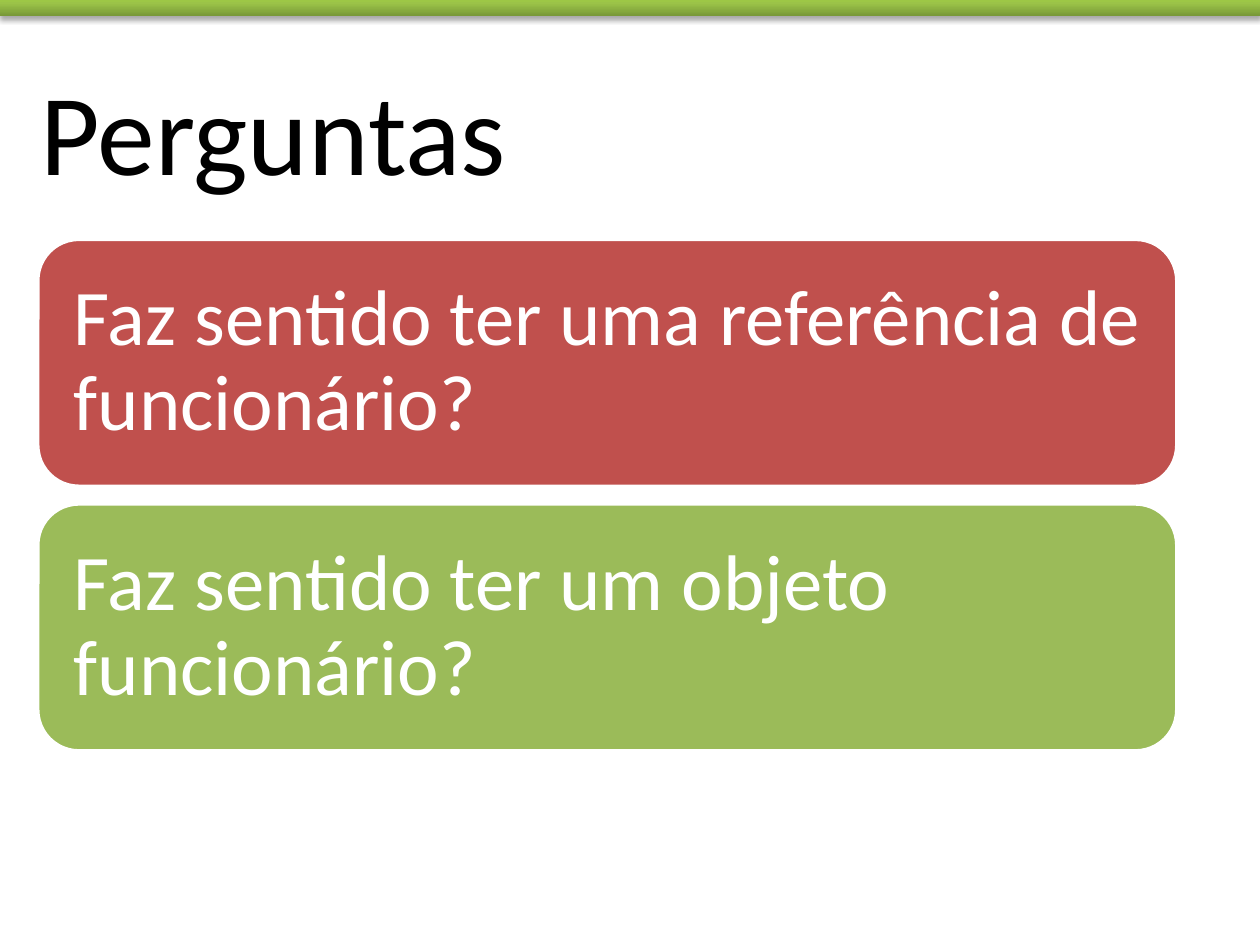
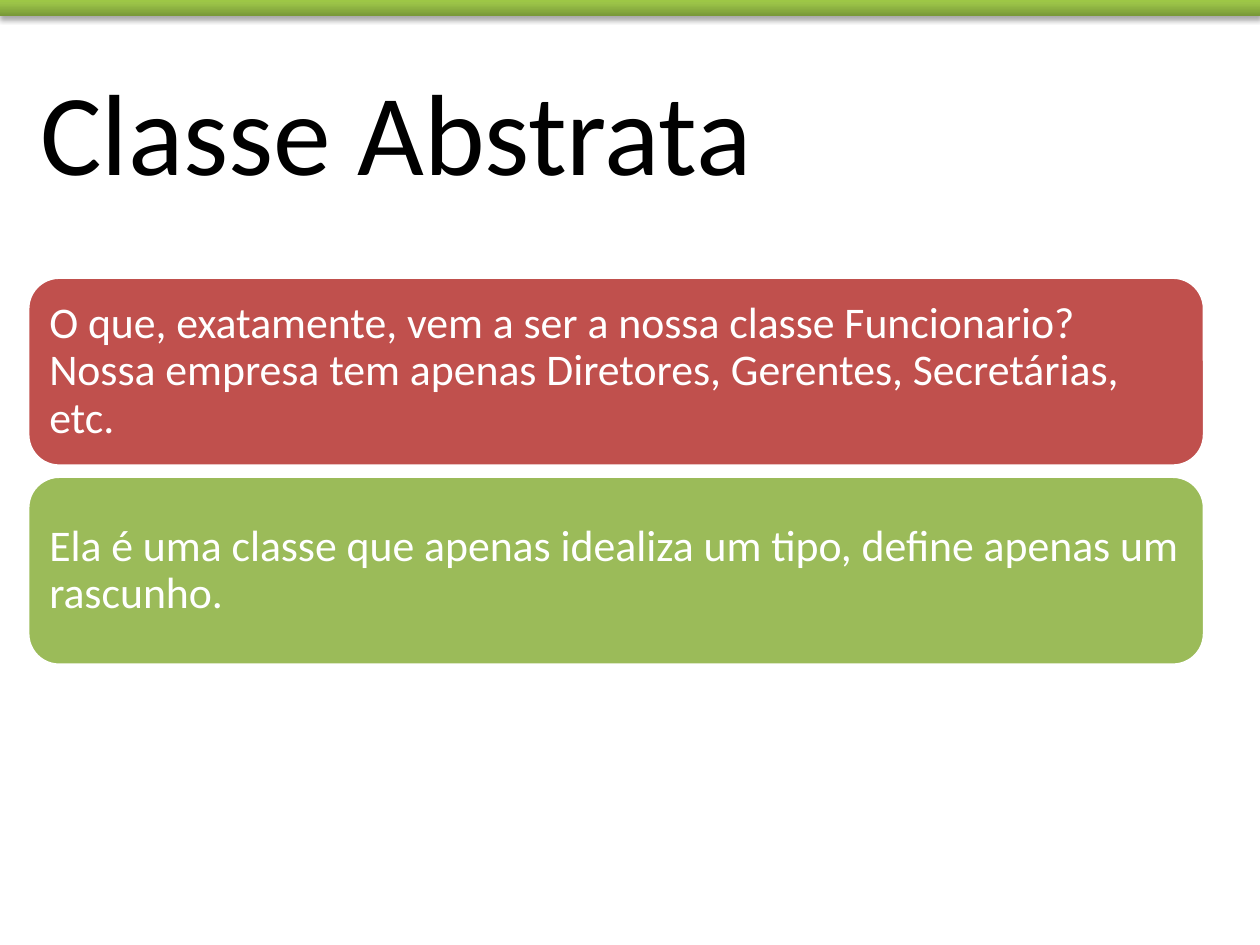
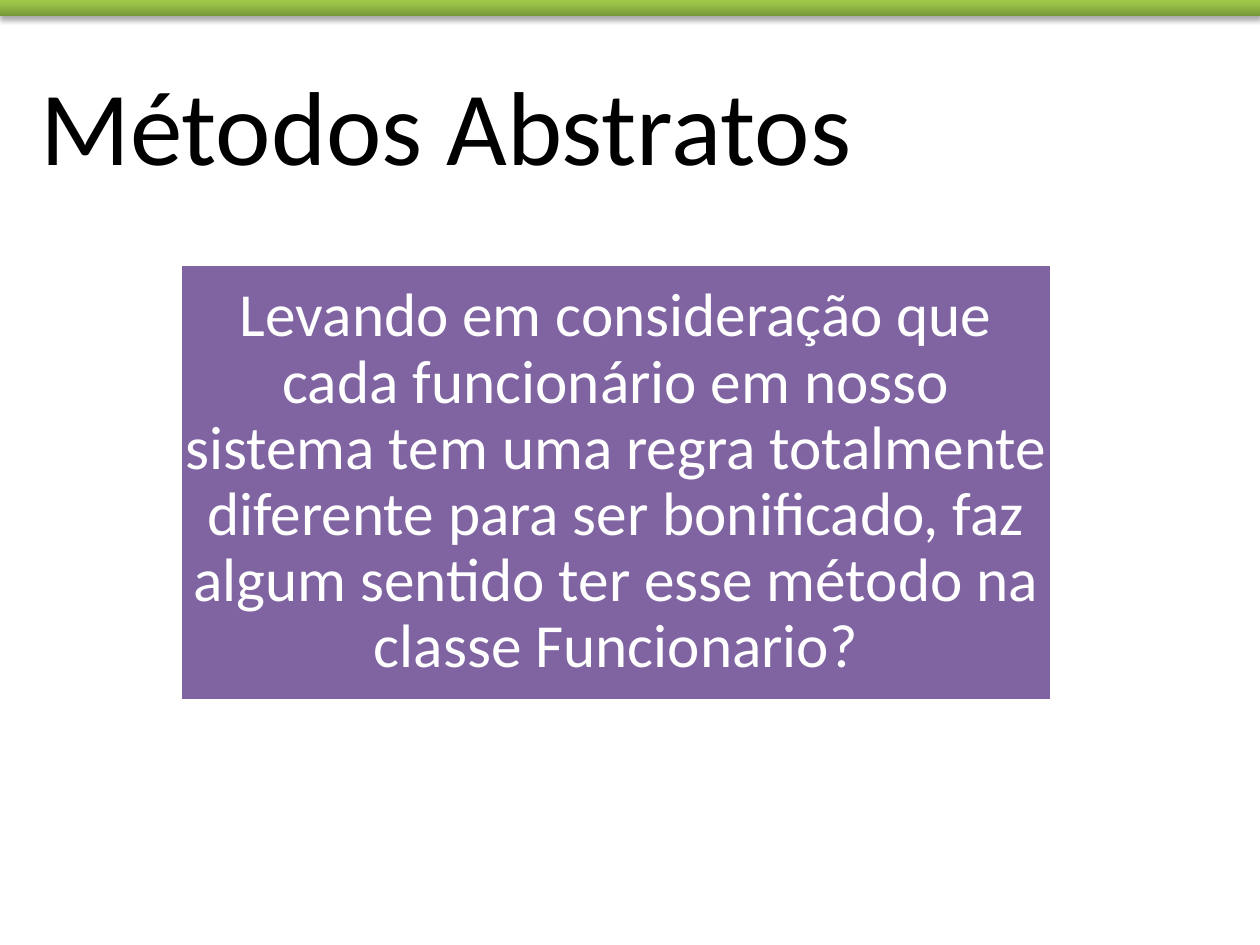
from pptx import Presentation
from pptx.dml.color import RGBColor
from pptx.enum.shapes import MSO_SHAPE
from pptx.enum.text import MSO_ANCHOR, MSO_AUTO_SIZE, PP_ALIGN
from pptx.oxml import parse_xml
from pptx.oxml.ns import nsdecls
from pptx.util import Inches, Pt

BLACK = RGBColor(0x00, 0x00, 0x00)
WHITE = RGBColor(0xFF, 0xFF, 0xFF)
RED = RGBColor(0xC0, 0x50, 0x4D)
GREEN = RGBColor(0x9B, 0xBB, 0x59)
PURPLE = RGBColor(0x80, 0x64, 0xA2)
BAND_DARK = RGBColor(0x77, 0x97, 0x37)
BAND_MIDDLE = RGBColor(0x9B, 0xC3, 0x48)
BAND_LIGHT = RGBColor(0x9D, 0xC7, 0x46)
BAND_STOPS = [(0, BAND_DARK), (80, BAND_MIDDLE), (100, BAND_LIGHT)]

FONT = "Calibri"
TITLE_ONLY = 5
SLIDE_WIDTH, SLIDE_HEIGHT = 10, 7.5


def set_all(target, values):
    for attribute, value in values.items():
        setattr(target, attribute, value)


def write(shape, text, size, color, frame_format, paragraph_format):
    frame = shape.text_frame
    frame.text = text
    set_all(frame, {"word_wrap": True, **frame_format})
    paragraph = frame.paragraphs[0]
    set_all(paragraph, paragraph_format)
    font = paragraph.runs[0].font
    set_all(font, {"name": FONT, "size": Pt(size)})
    font.color.rgb = color


def add_top_band(slide):
    band = slide.shapes.add_shape(
        MSO_SHAPE.RECTANGLE, 0, 0, Inches(SLIDE_WIDTH), Inches(0.13))
    band.line.fill.background()
    band.shadow.inherit = False
    properties = band._element.spPr
    stops = "".join(
        f'<a:gs pos="{percent * 1000}"><a:srgbClr val="{color}"/></a:gs>'
        for percent, color in BAND_STOPS)
    gradient = parse_xml(
        f'<a:gradFill {nsdecls("a")} rotWithShape="1"><a:gsLst>{stops}</a:gsLst>'
        '<a:lin ang="16200000" scaled="0"/></a:gradFill>')
    properties.find("{*}prstGeom").addnext(gradient)
    properties.find("{*}effectLst").append(parse_xml(
        f'<a:outerShdw {nsdecls("a")} blurRad="{Pt(3.1)}" dist="{Pt(1.8)}" '
        'dir="5400000" rotWithShape="0">'
        f'<a:srgbClr val="{BLACK}"><a:alpha val="35000"/></a:srgbClr>'
        '</a:outerShdw>'))


def add_titled_slide(deck, heading, size=66, height=1.21):
    slide = deck.slides.add_slide(deck.slide_layouts[TITLE_ONLY])
    add_top_band(slide)
    title = slide.shapes.title
    set_all(title, {"left": Inches(0.22), "top": Inches(0.43),
                    "width": Inches(6.83), "height": Inches(height)})
    write(title, heading, size, BLACK,
          {"vertical_anchor": MSO_ANCHOR.TOP,
           "auto_size": MSO_AUTO_SIZE.SHAPE_TO_FIT_TEXT},
          {"alignment": PP_ALIGN.LEFT})
    return slide


def add_card(slide, text, box, color, size, inset,
             outline=MSO_SHAPE.ROUNDED_RECTANGLE, alignment=PP_ALIGN.LEFT):
    card = slide.shapes.add_shape(outline, *map(Inches, box))
    card.shadow.inherit = False
    card.fill.solid()
    card.fill.fore_color.rgb = color
    card.line.color.rgb = WHITE
    card.line.width = Pt(2)
    margins = {f"margin_{side}": Inches(inset)
               for side in ("left", "top", "right", "bottom")}
    write(card, text, size, WHITE,
          {"vertical_anchor": MSO_ANCHOR.MIDDLE, **margins},
          {"alignment": alignment, "line_spacing": 0.9})


def add_card_stack(slide, texts, first_box, pitch, size, inset):
    left, top, width, height = first_box
    for row, (text, color) in enumerate(zip(texts, (RED, GREEN))):
        box = (left, top + row * pitch, width, height)
        add_card(slide, text, box, color, size, inset)


def main():
    deck = Presentation()
    deck.slide_width = Inches(SLIDE_WIDTH)
    deck.slide_height = Inches(SLIDE_HEIGHT)

    questions = add_titled_slide(deck, "Perguntas")
    add_card_stack(questions, [
        "Faz sentido ter uma referência de funcionário?",
        "Faz sentido ter um objeto funcionário?",
    ], first_box=(0.3, 1.9, 9.04, 1.96), pitch=2.1, size=45, inset=0.19)

    abstract_class = add_titled_slide(deck, "Classe Abstrata")
    add_card_stack(abstract_class, [
        "O que, exatamente, vem a ser a nossa classe Funcionario? "
        "Nossa empresa tem apenas Diretores, Gerentes, Secretárias, etc.",
        "Ela é uma classe que apenas idealiza um tipo, define apenas um rascunho.",
    ], first_box=(0.22, 2.2, 9.34, 1.5), pitch=1.58, size=25, inset=0.1)

    abstract_methods = add_titled_slide(
        deck, "Métodos Abstratos", size=60, height=1.11)
    add_card(
        abstract_methods,
        "Levando em consideração que cada funcionário em nosso sistema tem "
        "uma regra totalmente diferente para ser bonificado, faz algum "
        "sentido ter esse método na classe Funcionario?",
        (1.43, 2.1, 6.92, 3.46), PURPLE, size=35, inset=0.02,
        outline=MSO_SHAPE.RECTANGLE, alignment=PP_ALIGN.CENTER)

    deck.save("out.pptx")


if __name__ == "__main__":
    main()
